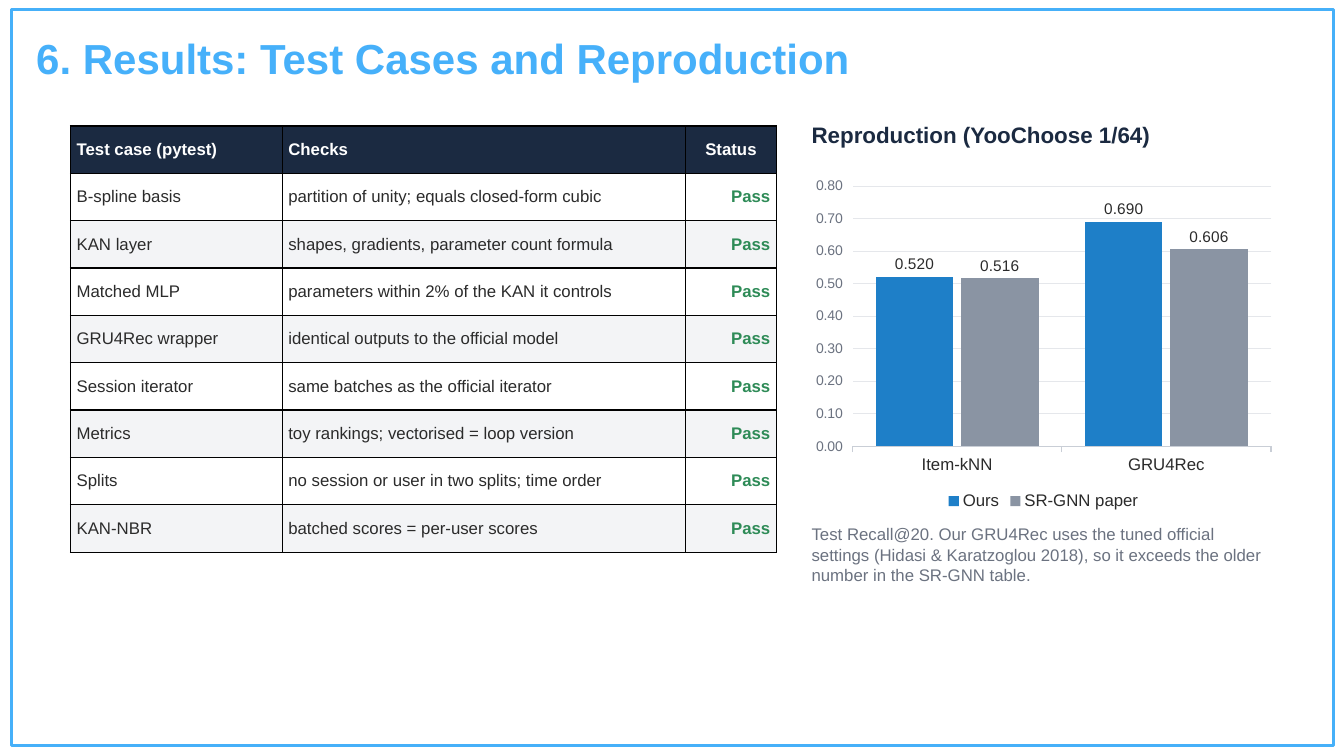
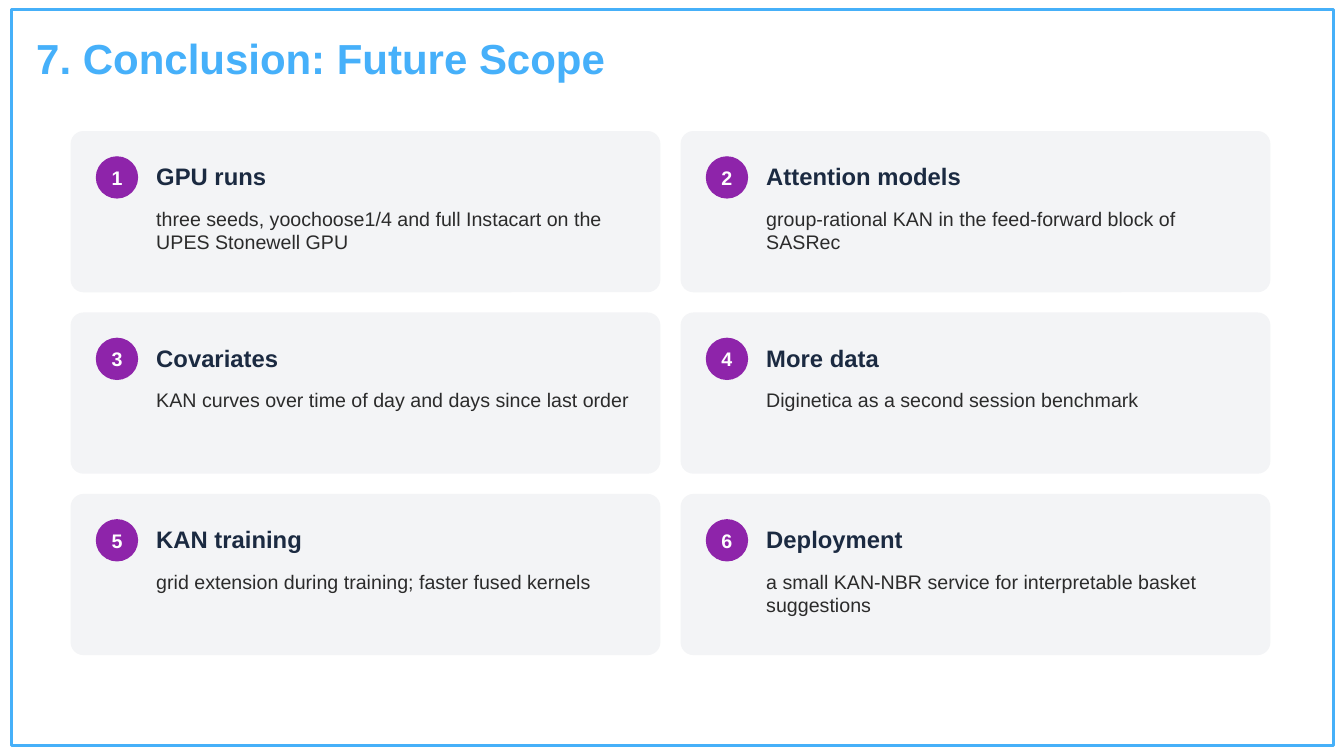
"""Builds the results and conclusion slides of a recommender study."""
from lxml import etree
from pptx import Presentation
from pptx import util as u
from pptx.chart import data as chart_data
from pptx.dml.color import RGBColor
from pptx.enum import chart as charts, shapes, text
from pptx.oxml import ns

FRAME = RGBColor(0x46, 0xB0, 0xF9)
TITLE = RGBColor(0x46, 0xB0, 0xFA)
NAVY = RGBColor(0x1B, 0x2A, 0x41)
INK = RGBColor(0x2B, 0x2B, 0x2B)
MUTED = RGBColor(0x6B, 0x72, 0x80)
PALE = RGBColor(0xF3, 0xF4, 0xF6)
WHITE = RGBColor(0xFF, 0xFF, 0xFF)
BLACK = RGBColor(0, 0, 0)
GREEN = RGBColor(0x2E, 0x8B, 0x57)
PURPLE = RGBColor(0x8E, 0x24, 0xAA)
BLUE = RGBColor(0x1E, 0x7F, 0xC8)
SLATE = RGBColor(0x8A, 0x94, 0xA3)
AXIS = RGBColor(0xC9, 0xCE, 0xD6)
GRID = RGBColor(0xE5, 0xE7, 0xEB)

FONT = "Arial"
COLUMNS, ROWS = 133.3, 75
LEFT, CENTER, RIGHT = text.PP_ALIGN.LEFT, text.PP_ALIGN.CENTER, text.PP_ALIGN.RIGHT
TOP, MIDDLE = text.MSO_ANCHOR.TOP, text.MSO_ANCHOR.MIDDLE

TESTS = [
    ("B-spline basis", "partition of unity; equals closed-form cubic"),
    ("KAN layer", "shapes, gradients, parameter count formula"),
    ("Matched MLP", "parameters within 2% of the KAN it controls"),
    ("GRU4Rec wrapper", "identical outputs to the official model"),
    ("Session iterator", "same batches as the official iterator"),
    ("Metrics", "toy rankings; vectorised = loop version"),
    ("Splits", "no session or user in two splits; time order"),
    ("KAN-NBR", "batched scores = per-user scores"),
]
RECALL = [("Ours", (0.52, 0.69), BLUE), ("SR-GNN paper", (0.516, 0.606), SLATE)]
PLANS = [
    ("GPU runs", "three seeds, yoochoose1/4 and full Instacart on the UPES Stonewell GPU"),
    ("Attention models", "group-rational KAN in the feed-forward block of SASRec"),
    ("Covariates", "KAN curves over time of day and days since last order"),
    ("More data", "Diginetica as a second session benchmark"),
    ("KAN training", "grid extension during training; faster fused kernels"),
    ("Deployment", "a small KAN-NBR service for interpretable basket suggestions"),
]


class Deck:
    """Holds the style and the current slide, measured in grid columns and rows."""

    def __init__(self):
        self.presentation = Presentation()
        self.presentation.slide_width = u.Inches(13.33)
        self.presentation.slide_height = u.Inches(7.5)
        self.column = self.presentation.slide_width / COLUMNS
        self.row = self.presentation.slide_height / ROWS
        self.slide = None

    def place(self, left, top, width, height):
        """Turns grid columns and rows into slide lengths."""
        steps = (self.column, self.row) * 2
        return [round(size * step) for size, step in zip((left, top, width, height), steps)]

    def add_slide(self, title):
        """Starts a slide with the shared frame and title."""
        self.slide = self.presentation.slides.add_slide(self.presentation.slide_layouts[6])
        frame = self.shape(shapes.MSO_SHAPE.RECTANGLE, (1.1, 0.9, 131.2, 73.1))
        frame.line.color.rgb = FRAME
        frame.line.width = u.Pt(2.25)
        self.text((3.6, 2.6, 104, 6.2), title, 30, TITLE, True, MIDDLE)

    def style(self, font, size, color, bold=False):
        """Applies the deck font."""
        font.name, font.size, font.bold = FONT, u.Pt(size), bold
        font.color.rgb = color

    def fill_text(self, frame, words, size, color, bold=False, align=LEFT):
        """Sets one styled paragraph."""
        frame.text = words
        paragraph = frame.paragraphs[0]
        paragraph.alignment = align
        self.style(paragraph.runs[0].font, size, color, bold)
        return paragraph

    def clear_margins(self, frame, anchor):
        """Removes the insets of a text frame and anchors its text."""
        frame.margin_left = frame.margin_right = frame.margin_top = frame.margin_bottom = 0
        frame.vertical_anchor = anchor
        frame.word_wrap = True

    def text(self, box, words, size, color, bold=False, anchor=TOP):
        """Adds a text box that grows with its text."""
        frame = self.slide.shapes.add_textbox(*self.place(*box)).text_frame
        self.clear_margins(frame, anchor)
        frame.auto_size = text.MSO_AUTO_SIZE.SHAPE_TO_FIT_TEXT
        self.fill_text(frame, words, size, color, bold).space_after = u.Pt(6)

    def shape(self, kind, box, fill=None):
        """Adds a flat shape without an outline."""
        shape = self.slide.shapes.add_shape(kind, *self.place(*box))
        shape.shadow.inherit = False
        shape.line.fill.background()
        if fill is None:
            shape.fill.background()
        else:
            shape.fill.solid()
            shape.fill.fore_color.rgb = fill
        return shape

    def card(self, left, top, number, heading, words):
        """Adds a numbered card."""
        card = self.shape(shapes.MSO_SHAPE.ROUNDED_RECTANGLE, (left, top, 58.5, 16), PALE)
        card.adjustments[0] = 0.08
        badge = self.shape(shapes.MSO_SHAPE.OVAL, (left + 2.5, top + 2.5, 4.2, 4.2), PURPLE)
        self.clear_margins(badge.text_frame, MIDDLE)
        self.fill_text(badge.text_frame, str(number), 14, WHITE, True, CENTER)
        self.text((left + 8.5, top + 2.2, 48, 4.6), heading, 17, NAVY, True, MIDDLE)
        self.text((left + 8.5, top + 7.5, 48, 8), words, 14, INK)

    def cell(self, cell, words, fill, color, bold, align):
        """Fills one table cell and draws its borders."""
        cell.margin_left = cell.margin_right = u.Inches(0.06)
        cell.margin_top = cell.margin_bottom = u.Inches(0.02)
        cell.vertical_anchor = MIDDLE
        self.fill_text(cell.text_frame, words, 12, color, bold, align)
        properties = cell._tc.get_or_add_tcPr()
        for side in ("a:lnL", "a:lnR", "a:lnT", "a:lnB"):
            line = etree.SubElement(properties, ns.qn(side), w=str(u.Pt(1)))
            solid = etree.SubElement(line, ns.qn("a:solidFill"))
            etree.SubElement(solid, ns.qn("a:srgbClr"), val=str(BLACK))
        cell.fill.solid()
        cell.fill.fore_color.rgb = fill

    def table(self, left, top, widths, row_height, header, rows):
        """Adds a striped table whose last column is a status."""
        lines = [header, *rows]
        box = self.place(left, top, sum(widths), row_height * len(lines))
        table = self.slide.shapes.add_table(len(lines), len(widths), *box).table
        table.horz_banding = False
        for column, width in zip(table.columns, widths):
            column.width = round(width * self.column)
        for i, line in enumerate(lines):
            table.rows[i].height = round(row_height * self.row)
            for j, words in enumerate(line):
                status = j == len(widths) - 1
                if i == 0:
                    look = NAVY, WHITE, True, CENTER if status else LEFT
                else:
                    fill = WHITE if i % 2 else PALE
                    look = (fill, GREEN, True, RIGHT) if status else (fill, INK, False, LEFT)
                self.cell(table.cell(i, j), words, *look)

    def column_chart(self, box, categories, series):
        """Adds a clustered column chart with value labels."""
        data = chart_data.CategoryChartData()
        data.categories = categories
        for name, values, _ in series:
            data.add_series(name, values)
        kind = charts.XL_CHART_TYPE.COLUMN_CLUSTERED
        chart = self.slide.shapes.add_chart(kind, *self.place(*box), data).chart
        self.style(chart.font, 12, INK)
        chart.has_title = False
        chart.has_legend = True
        chart.legend.position = charts.XL_LEGEND_POSITION.BOTTOM
        chart.legend.include_in_layout = False
        self.style(chart.legend.font, 12, INK)
        self.style(chart.category_axis.tick_labels.font, 12, INK)
        chart.category_axis.format.line.color.rgb = AXIS
        chart.category_axis.format.line.width = u.Pt(0.75)
        axis = chart.value_axis
        axis.minimum_scale, axis.maximum_scale, axis.major_unit = 0, 0.8, 0.1
        axis.format.line.fill.background()
        axis.major_gridlines.format.line.color.rgb = GRID
        axis.major_gridlines.format.line.width = u.Pt(0.75)
        axis.tick_labels.number_format = "0.00"
        axis.tick_labels.number_format_is_linked = False
        self.style(axis.tick_labels.font, 10, MUTED)
        plot = chart.plots[0]
        plot.gap_width, plot.overlap, plot.vary_by_categories = 60, -10, False
        for bars, (_, _, color) in zip(plot.series, series):
            bars.format.fill.solid()
            bars.format.fill.fore_color.rgb = color
            labels = bars.data_labels
            labels.show_value = True
            labels.position = charts.XL_LABEL_POSITION.OUTSIDE_END
            labels.number_format = "0.000"
            labels.number_format_is_linked = False
            self.style(labels.font, 11, INK)


def main():
    """Builds and saves both slides."""
    deck = Deck()
    deck.add_slide("6. Results: Test Cases and Reproduction")
    rows = [(*test, "Pass") for test in TESTS]
    deck.table(7, 12.5, (21, 40, 9), 4.7, ("Test case (pytest)", "Checks", "Status"), rows)
    deck.text((80.5, 12, 46, 4.5), "Reproduction (YooChoose 1/64)", 16, NAVY, True)
    deck.column_chart((80, 17, 47, 34), ("Item-kNN", "GRU4Rec"), RECALL)
    deck.text((80.5, 52, 46, 15),
              "Test Recall@20. Our GRU4Rec uses the tuned official settings "
              "(Hidasi & Karatzoglou 2018), so it exceeds the older number "
              "in the SR-GNN table.", 12, MUTED)

    deck.add_slide("7. Conclusion: Future Scope")
    for i, (heading, words) in enumerate(PLANS):
        row, column = divmod(i, 2)
        deck.card(7 + 60.5 * column, 13 + 18 * row, i + 1, heading, words)
    deck.presentation.save("out.pptx")


if __name__ == "__main__":
    main()
